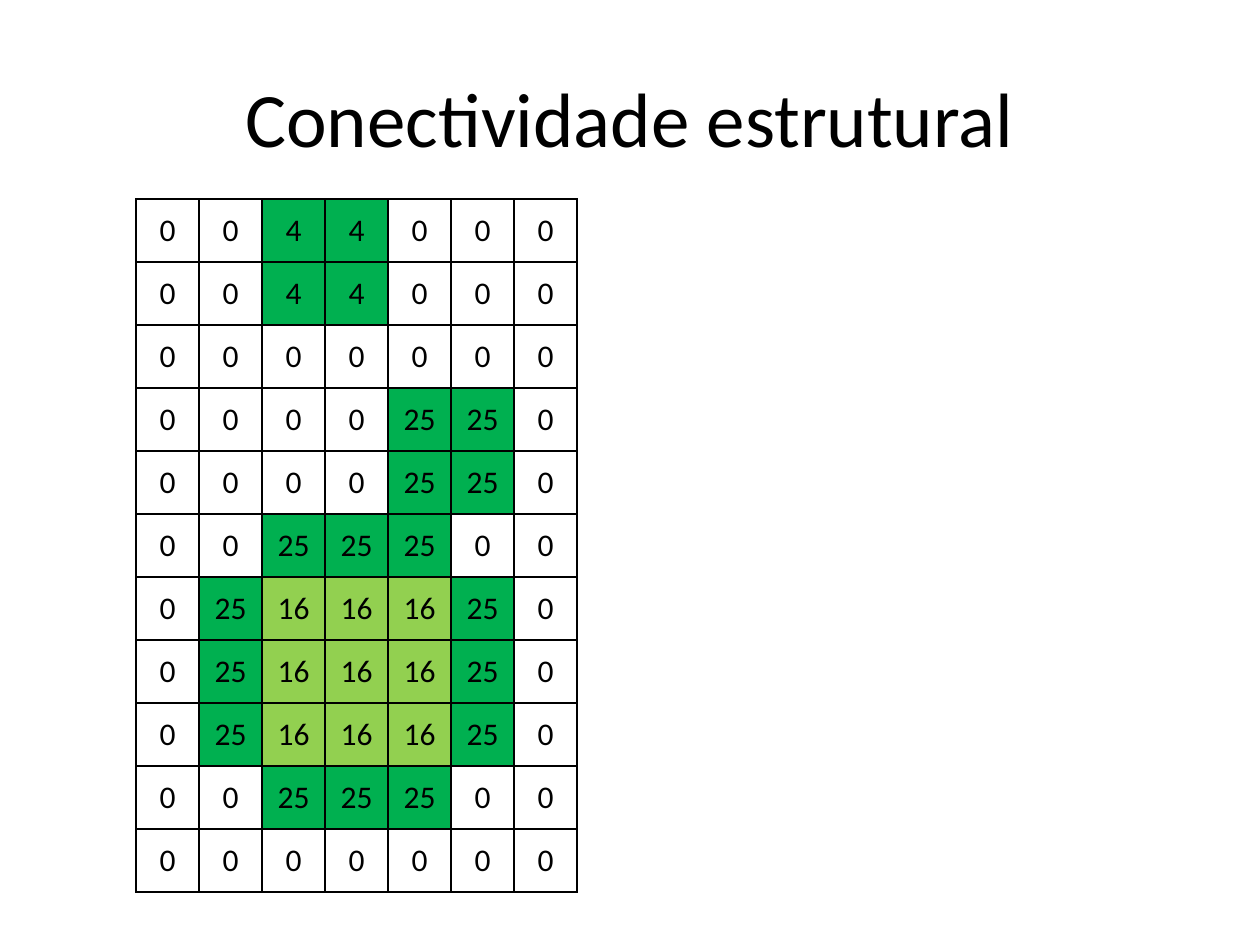
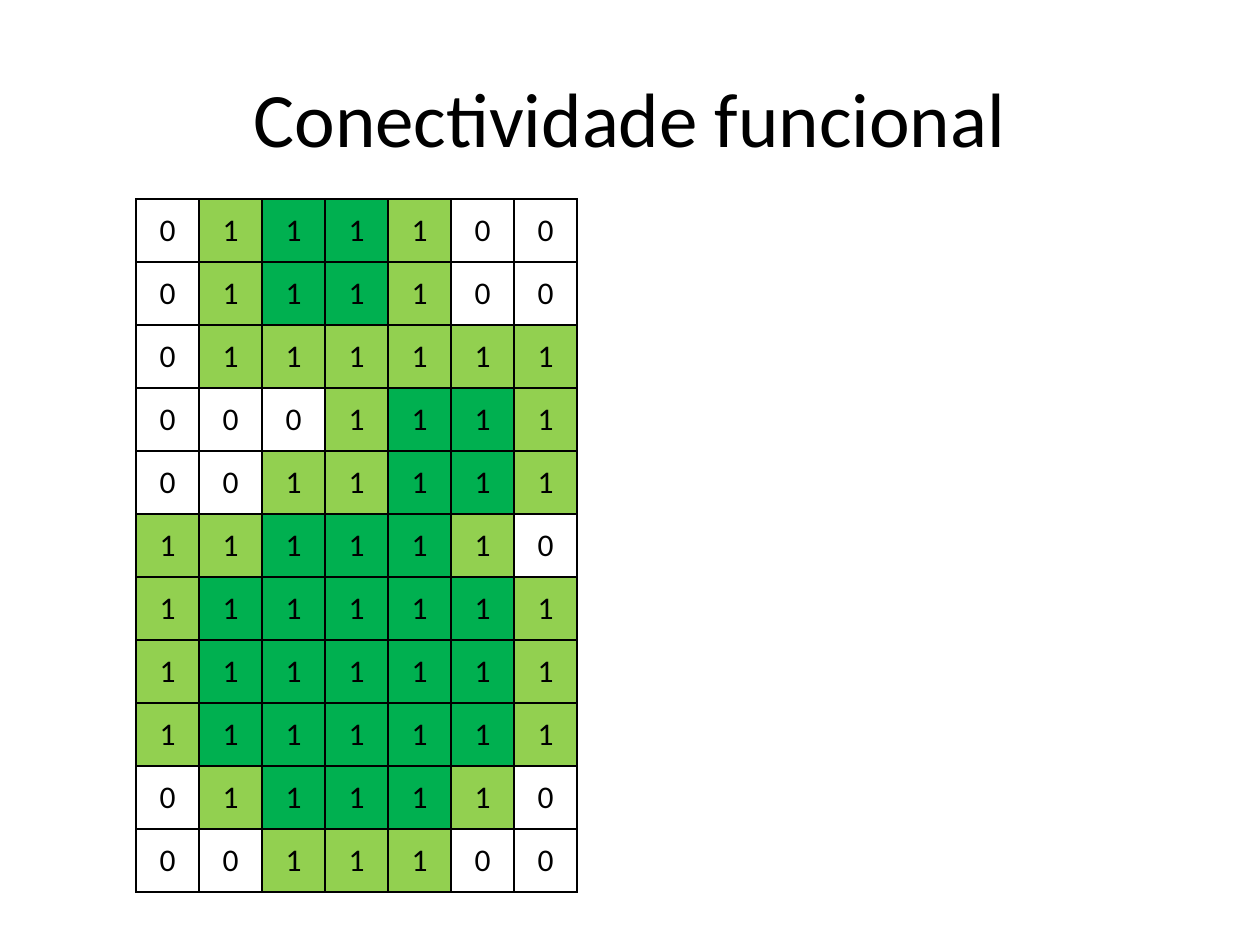
from lxml import etree
from pptx import Presentation
from pptx.dml.color import RGBColor
from pptx.enum.text import MSO_ANCHOR, PP_ALIGN
from pptx.oxml.ns import qn
from pptx.util import Pt

CENTER = PP_ALIGN.CENTER
MIDDLE = MSO_ANCHOR.MIDDLE
TITLE_ONLY = 5
FONT = "Calibri"
COLORS = {"ink": "000000", "habitat": "00B050", "corridor": "92D050"}
TITLE_BOX = (36, 21.6, 648, 90)
GRID_ORIGIN = (77.76, 113.76)
CELL_SIZE = 36
BORDER_WIDTH = 1

STRUCTURAL_LEGEND = {
    ".": ("0", None),
    "s": ("4", "habitat"),
    "H": ("25", "habitat"),
    "m": ("16", "corridor"),
}
STRUCTURAL_MAP = [
    "..ss...",
    "..ss...",
    ".......",
    "....HH.",
    "....HH.",
    "..HHH..",
    ".HmmmH.",
    ".HmmmH.",
    ".HmmmH.",
    "..HHH..",
    ".......",
]
FUNCTIONAL_LEGEND = {
    ".": ("0", None),
    "H": ("1", "habitat"),
    "c": ("1", "corridor"),
}
FUNCTIONAL_MAP = [
    ".cHHc..",
    ".cHHc..",
    ".cccccc",
    "...cHHc",
    "..ccHHc",
    "ccHHHc.",
    "cHHHHHc",
    "cHHHHHc",
    "cHHHHHc",
    ".cHHHc.",
    "..ccc..",
]


def format_paragraph(paragraph, size):
    paragraph.alignment = CENTER
    paragraph.font.name = FONT
    paragraph.font.size = Pt(size)
    paragraph.font.color.rgb = RGBColor.from_string(COLORS["ink"])


def add_title(slide, text, box):
    title = slide.shapes.title
    title.left, title.top, title.width, title.height = map(Pt, box)
    title.text_frame.text = text
    title.text_frame.vertical_anchor = MIDDLE
    format_paragraph(title.text_frame.paragraphs[0], 44)


def add_borders(cell):
    properties = cell._tc.get_or_add_tcPr()
    for edge in ("a:lnL", "a:lnR", "a:lnT", "a:lnB"):
        line = etree.SubElement(properties, qn(edge), w=str(Pt(BORDER_WIDTH)))
        fill = etree.SubElement(line, qn("a:solidFill"))
        etree.SubElement(fill, qn("a:srgbClr"), val=COLORS["ink"])


def format_cell(cell, text, color):
    cell.text = text
    cell.vertical_anchor = MIDDLE
    format_paragraph(cell.text_frame.paragraphs[0], 18)
    add_borders(cell)
    if color:
        cell.fill.solid()
        cell.fill.fore_color.rgb = RGBColor.from_string(COLORS[color])
    else:
        cell.fill.background()


def add_landscape_grid(slide, landscape, legend, origin):
    row_count, column_count = len(landscape), len(landscape[0])
    left, top = origin
    table = slide.shapes.add_table(
        row_count, column_count, Pt(left), Pt(top),
        Pt(column_count * CELL_SIZE), Pt(row_count * CELL_SIZE),
    ).table
    table.first_row = False
    table.horz_banding = False
    for row_index, symbols in enumerate(landscape):
        for column_index, symbol in enumerate(symbols):
            format_cell(table.cell(row_index, column_index), *legend[symbol])


def add_connectivity_slide(presentation, title, landscape, legend):
    slide = presentation.slides.add_slide(presentation.slide_layouts[TITLE_ONLY])
    add_title(slide, title, TITLE_BOX)
    add_landscape_grid(slide, landscape, legend, GRID_ORIGIN)


def main():
    presentation = Presentation()
    presentation.slide_width = Pt(720)
    presentation.slide_height = Pt(540)
    add_connectivity_slide(
        presentation, "Conectividade estrutural", STRUCTURAL_MAP, STRUCTURAL_LEGEND)
    add_connectivity_slide(
        presentation, "Conectividade funcional", FUNCTIONAL_MAP, FUNCTIONAL_LEGEND)
    presentation.save("out.pptx")


if __name__ == "__main__":
    main()
